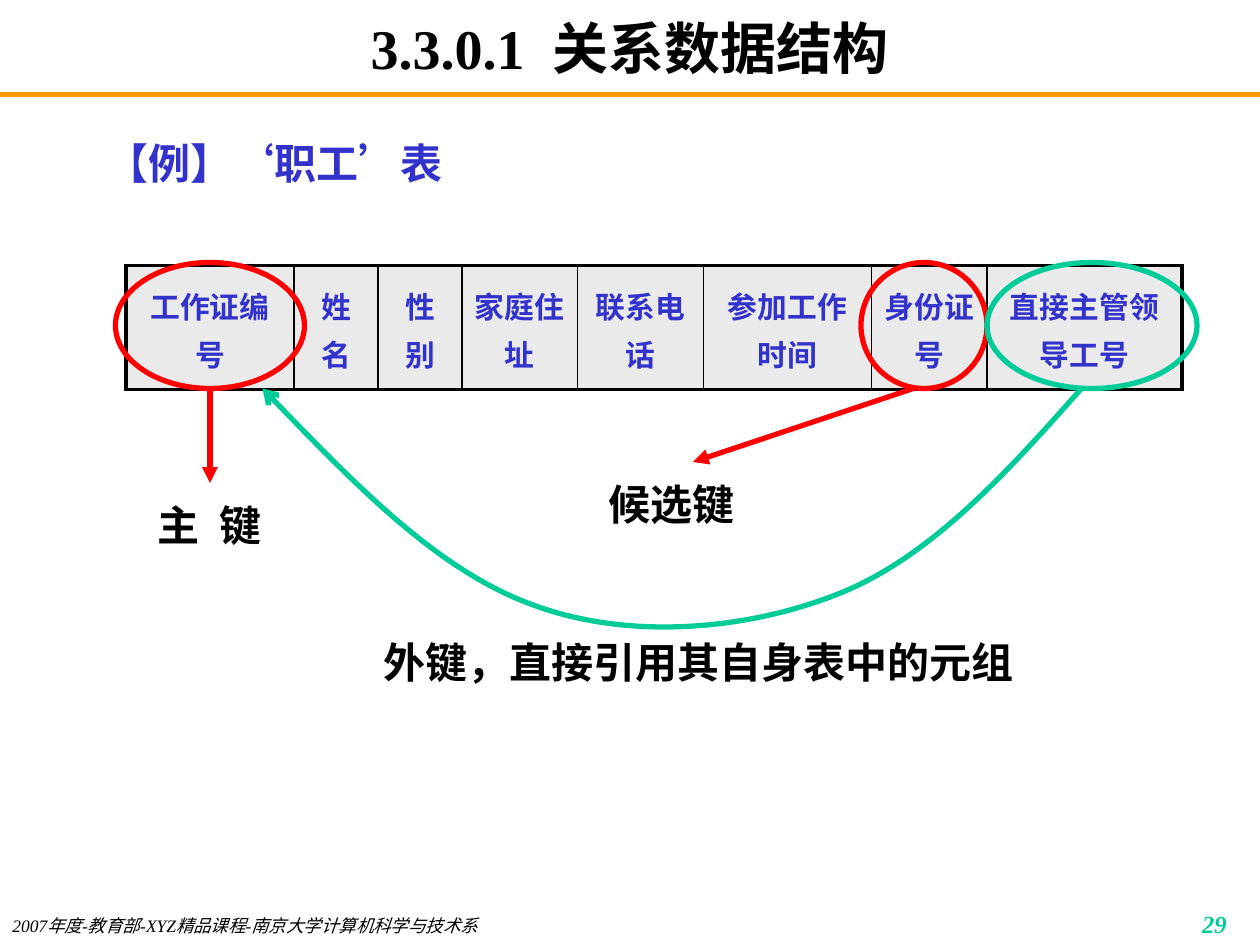
from lxml import etree
from pptx import Presentation
from pptx import util as u
from pptx.dml.color import RGBColor
from pptx.enum import shapes, text
from pptx.oxml import ns

BLACK = RGBColor(0, 0, 0)
BLUE = RGBColor(0x33, 0x33, 0xCC)
RED = RGBColor(0xFF, 0, 0)
GREEN = RGBColor(0, 0xCC, 0x99)
ORANGE = RGBColor(0xFF, 0x99, 0)
GREY = RGBColor(0xEA, 0xEA, 0xEA)
LATIN, HAN = "Times New Roman", "Noto Sans CJK SC"
COLUMNS, ROWS = 120, 90
LEFT, CENTER, RIGHT = text.PP_ALIGN.LEFT, text.PP_ALIGN.CENTER, text.PP_ALIGN.RIGHT
LABEL = {"size": u.Pt(24), "bold": True}
FIELDS = {
    "工作证编号": 16, "姓名": 8, "性别": 8, "家庭住址": 11,
    "联系电话": 12, "参加工作时间": 16, "身份证号": 11, "直接主管领导工号": 18.6,
}


def grid(*cells):
    return [u.Inches(cell / 12) for cell in cells]


def add_xml(parent, tag, **values):
    return etree.SubElement(parent, ns.qn(tag), **values)


def write(para, words, color=BLACK, align=LEFT, gap=0, **formats):
    para.alignment = align
    parts = words.split(" ")
    pieces = [(parts[0], 0)]
    for part in parts[1:]:
        pieces += [(" ", gap), (part, 0)]
    for piece, spacing in pieces:
        span = para.add_run()
        span.text = piece
        for name, value in ({"name": LATIN} | formats).items():
            setattr(span.font, name, value)
        span.font.color.rgb = color
        properties = span.font._element
        add_xml(properties, "a:ea", typeface=HAN)
        if spacing:
            properties.set("spc", str(spacing * 100))


def add_words(page, box, words, anchor=text.MSO_ANCHOR.TOP, **formats):
    frame = page.shapes.add_textbox(*grid(*box)).text_frame
    frame.word_wrap = True
    frame.vertical_anchor = anchor
    write(frame.paragraphs[0], words, **formats)
    return frame


def outline(shape, color, head=None):
    shape.line.color.rgb = color
    shape.line.width = u.Pt(3)
    if head:
        add_xml(shape.line._get_or_add_ln(), "a:tailEnd", type=head)


def add_line(page, start, end, color, head=None):
    line = page.shapes.add_connector(shapes.MSO_CONNECTOR.STRAIGHT, *grid(*start, *end))
    outline(line, color, head)
    add_xml(line._element.spPr, "a:effectLst")


def add_ring(page, box, color):
    ring = page.shapes.add_shape(shapes.MSO_SHAPE.OVAL, *grid(*box))
    ring.shadow.inherit = False
    ring.fill.background()
    outline(ring, color)


def add_curve(page, points, color):
    start, *rest = [grid(*point) for point in points]
    builder = page.shapes.build_freeform(*start)
    builder.add_line_segments(rest, close=False)
    curve = builder.convert_to_shape()
    curve.shadow.inherit = False
    curve.fill.background()
    outline(curve, color, "arrow")
    segments = list(curve._element.iter(ns.qn("a:lnTo")))
    route = segments[0].getparent()
    for first in range(0, len(segments), 3):
        bend = add_xml(route, "a:cubicBezTo")
        for segment in segments[first:first + 3]:
            bend.append(segment[0])
            route.remove(segment)


def add_header(page, box):
    left, top, width, height = box
    add_words(page, (left + 9, top + 1, width - 18, 7), "3.3.0.1 关系数据结构",
              anchor=text.MSO_ANCHOR.MIDDLE, align=CENTER, gap=8, size=u.Pt(32), bold=True)
    add_line(page, (left, top + height), (left + width, top + height), ORANGE)


def add_example_title(page, box):
    frame = add_words(page, box, "【例】‘职工’表", color=BLUE, name=HAN, **LABEL)
    frame.paragraphs[0].line_spacing = 1.1


def set_borders(cell, widths):
    properties = cell._tc.get_or_add_tcPr()
    for place, (side, width) in enumerate(widths.items()):
        border = etree.Element(ns.qn(f"a:{side}"), w=str(u.Pt(width)))
        add_xml(add_xml(border, "a:solidFill"), "a:srgbClr", val=str(BLACK))
        properties.insert(place, border)


def add_employee_table(page, box):
    table = page.shapes.add_table(1, len(FIELDS), *grid(*box)).table
    table.first_row = table.horz_banding = False
    last = len(FIELDS) - 1
    for index, (field, width) in enumerate(FIELDS.items()):
        table.columns[index].width = grid(width)[0]
        cell = table.cell(0, index)
        cell.fill.solid()
        cell.fill.fore_color.rgb = GREY
        cell.vertical_anchor = text.MSO_ANCHOR.MIDDLE
        cell.margin_top = cell.margin_bottom = u.Inches(0.04)
        para = cell.text_frame.paragraphs[0]
        para.line_spacing = 1.1
        write(para, field, color=BLUE, align=CENTER, size=u.Pt(17), bold=True)
        set_borders(cell, {
            "lnL": 2.25 if index == 0 else 1,
            "lnR": 2.25 if index == last else 1,
            "lnT": 2.25, "lnB": 2.25,
        })


def add_key(page, ring, start, end, label, words):
    add_ring(page, ring, RED)
    add_line(page, start, end, RED, "triangle")
    add_words(page, label, words, align=CENTER, gap=6, **LABEL)


def add_foreign_key(page, ring, label):
    add_ring(page, ring, GREEN)
    add_words(page, label, "外键，直接引用其自身表中的元组", align=CENTER, **LABEL)
    add_curve(page, [
        (103, 37), (95.9, 45), (88.7, 53), (80, 56.5), (71.3, 60),
        (60.1, 61), (51, 57.7), (41.9, 54.5), (33.4, 45.7), (25, 37),
    ], GREEN)


def add_footer(page, box):
    left, top, width, height = box
    add_words(page, (left, top + 0.6, 73, height - 0.6),
              "2007年度-教育部-XYZ精品课程-南京大学计算机科学与技术系",
              size=u.Pt(10), italic=True)
    add_words(page, (left + width - 27, top, 25, 3), "29", color=GREEN, align=RIGHT,
              size=u.Pt(14), bold=True, italic=True)


def main():
    deck = Presentation()
    deck.slide_width, deck.slide_height = grid(COLUMNS, ROWS)
    page = deck.slides.add_slide(deck.slide_layouts[6])
    add_header(page, (0, 0, COLUMNS, 9))
    add_example_title(page, (9, 12, 102, 7))
    add_employee_table(page, (12, 25.3, sum(FIELDS.values()), 11.8))
    add_key(page, (11, 25, 18, 12), (20, 37), (20, 46), (8, 47, 24, 6), "主 键")
    add_key(page, (82, 25, 12, 12), (87, 37), (66, 44), (52, 45, 24, 6), "候选键")
    add_foreign_key(page, (94, 25, 20, 12), (31, 60, 71, 6))
    add_footer(page, (0, 86, COLUMNS, 4))
    deck.save("out.pptx")


if __name__ == "__main__":
    main()
